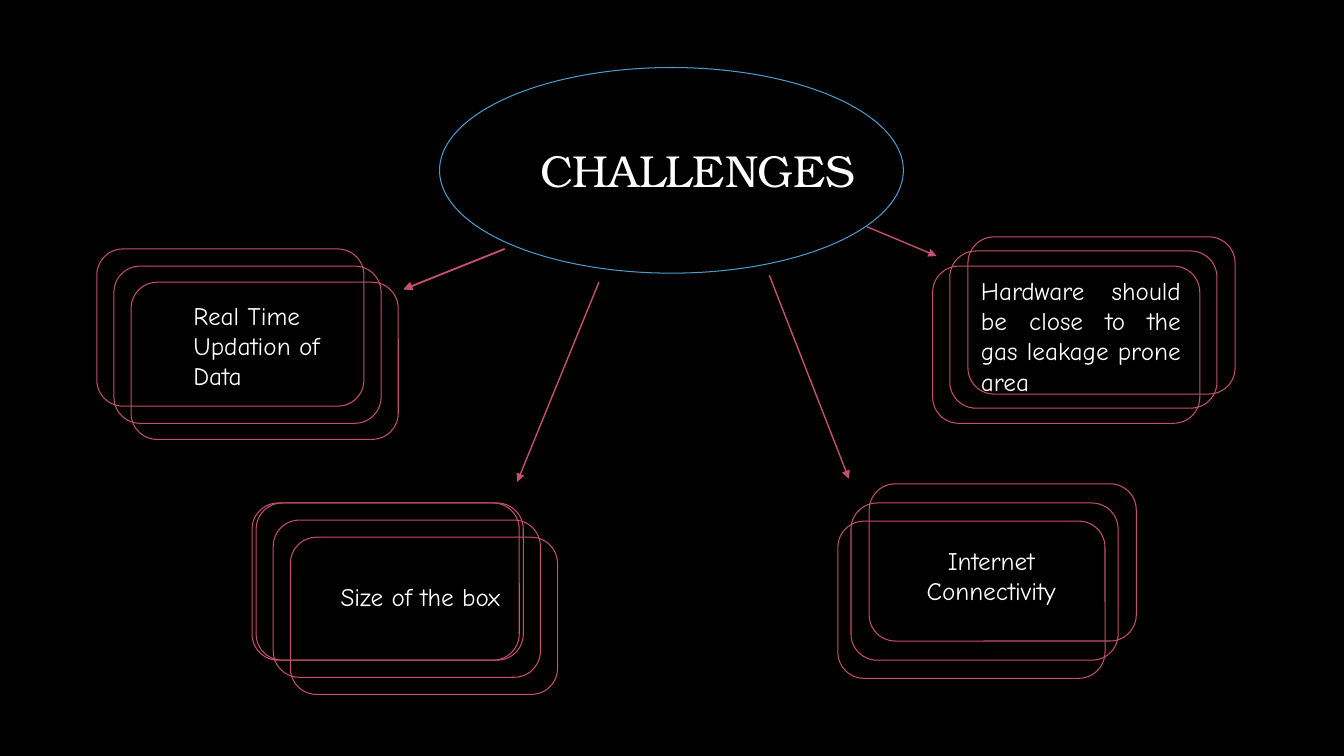
from pptx import Presentation
from pptx.dml.color import RGBColor
from pptx.enum.shapes import MSO_CONNECTOR as Link, MSO_SHAPE as Shape
from pptx.enum.text import PP_ALIGN as Align
from pptx.oxml.xmlchemy import OxmlElement as Node
from pptx.util import Inches, Pt

BLACK = RGBColor(0x00, 0x00, 0x00)
WHITE = RGBColor(0xFF, 0xFF, 0xFF)
BLUE = RGBColor(0x4A, 0x9C, 0xCC)
PINK = RGBColor(0xC5, 0x4F, 0x71)
HEAD, BODY = "TeX Gyre Bonum", "Comic Neue"
CARD = (2.65, 1.56)

# Each card: text, alignment, text box, stack origin, offsets of its outlines
CARDS = [
    ("Real Time Updation of Data", Align.LEFT, (1.82, 2.93, 1.77, 1.01),
     (0.96, 2.47), [(0, 0), (0.17, 0.17), (0.34, 0.33)]),
    ("Hardware should be close to the gas leakage prone area", Align.JUSTIFY,
     (9.63, 2.68, 2.18, 1.01),
     (9.6, 2.35), [(0, 0), (-0.18, 0.14), (-0.35, 0.29)]),
    ("Size of the box", Align.LEFT, (3.28, 5.72, 2.04, 0.4),
     (2.5, 4.99), [(0, 0), (0.04, 0), (0.21, 0.17), (0.38, 0.34)]),
    ("Internet Connectivity", Align.CENTER, (8.74, 5.36, 2.18, 0.71),
     (8.62, 4.8), [(0, 0), (-0.18, 0.19), (-0.31, 0.37)]),
]
ARROWS = [
    (5.01, 2.47, 4.01, 2.87),
    (5.94, 2.8, 5.13, 4.78),
    (7.63, 2.73, 8.42, 4.75),
    (5, 2.47, 4, 2.87),
    (8.6, 2.25, 9.29, 2.54),
]


def add_ring(slide, kind, box, color):
    """Draw an unfilled outline shape in the box."""
    ring = slide.shapes.add_shape(kind, *map(Inches, box))
    ring.shadow.inherit = False
    ring.fill.background()
    ring.line.color.rgb = color
    ring.line.width = Pt(0.75)


def add_text(slide, text, box, face, size, align=Align.LEFT):
    """Write wrapped white text in the box."""
    frame = slide.shapes.add_textbox(*map(Inches, box)).text_frame
    frame.word_wrap = True
    frame.text = text
    para = frame.paragraphs[0]
    para.alignment = align
    font = para.runs[0].font
    font.name, font.size = face, Pt(size)
    font.color.rgb = WHITE


def add_title(slide, box):
    """Draw the central ellipse with its heading."""
    left, top, _, _ = box
    add_ring(slide, Shape.OVAL, box, BLUE)
    add_text(slide, "CHALLENGES", (left + 0.9, top + 0.7, 3.42, 0.64), HEAD, 32)


def add_card(slide, text, align, box, origin, steps):
    """Draw a stack of rounded outlines and its label."""
    left, top = origin
    for dx, dy in steps:
        add_ring(slide, Shape.ROUNDED_RECTANGLE, (left + dx, top + dy, *CARD), PINK)
    add_text(slide, text, box, BODY, 18, align)


def add_arrow(slide, ends):
    """Draw an arrow from the first point to the second."""
    arrow = slide.shapes.add_connector(Link.STRAIGHT, *map(Inches, ends))
    arrow.line.color.rgb = PINK
    arrow.line.width = Pt(1)
    tip = Node("a:tailEnd")
    tip.set("type", "triangle")
    arrow.line._get_or_add_ln().append(tip)
    arrow._element.spPr.append(Node("a:effectLst"))


def main():
    """Build the slide and save it."""
    deck = Presentation()
    deck.slide_width, deck.slide_height = Inches(13.33), Inches(7.5)
    slide = deck.slides.add_slide(deck.slide_layouts[6])
    slide.background.fill.solid()
    slide.background.fill.fore_color.rgb = BLACK
    add_title(slide, (4.36, 0.67, 4.6, 2.04))
    for card in CARDS:
        add_card(slide, *card)
    for ends in ARROWS:
        add_arrow(slide, ends)
    deck.save("out.pptx")


if __name__ == "__main__":
    main()
